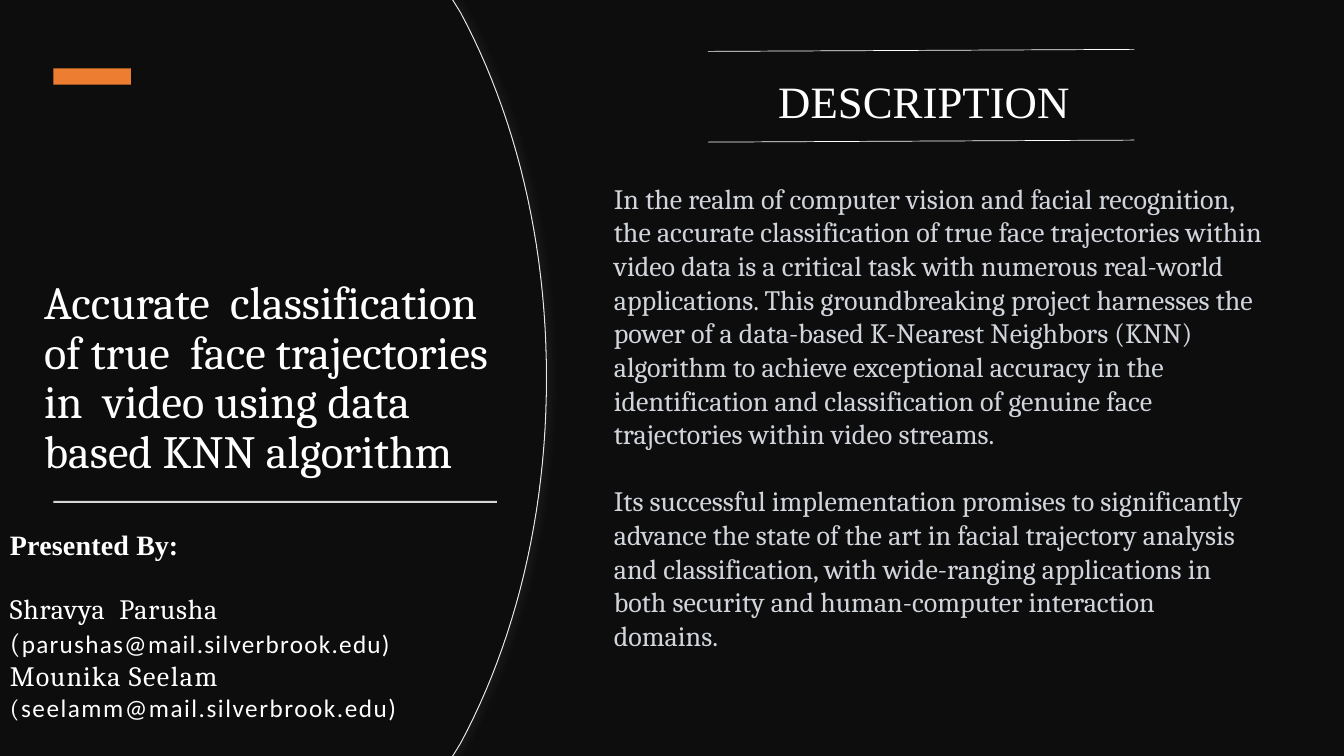
from pptx import Presentation
from pptx.dml.color import RGBColor
from pptx.enum import shapes, text
from pptx.oxml import parse_xml
from pptx.oxml.ns import nsdecls
from pptx.util import Inches, Pt

THEME = {
    "back": "0D0D0D", "white": "FFFFFF", "body": "D1D5DB", "accent": "ED7D31",
    "rule": "D5D5D5", "edge": "E6E6E6", "shade": "D9D9D9",
    "serif": "Cambria", "sans": "Calibri", "times": "Times New Roman",
    "title": 33, "head": 32, "text": 20, "mail": 18,
}

# A paragraph is (space before in points, runs);
# a run is (words, font, size, colour, bold, letter spacing in points).
TITLE = [(0, [("Accurate  classification  of true  face trajectories  in  video "
               "using data based KNN algorithm", "serif", "title", "white", False, 0)])]
HEAD = [(0, [("DESCRIPTION", "times", "head", "white", False, 0)])]
BODY = [
    (0, [("In the realm of computer vision and facial recognition, the accurate "
          "classification of true face trajectories within video data is a critical "
          "task with numerous real-world applications. This groundbreaking project "
          "harnesses the power of a data-based K-Nearest Neighbors (KNN) algorithm to "
          "achieve exceptional accuracy in the identification and classification of "
          "genuine face trajectories within video streams.",
          "serif", "text", "body", False, 0)]),
    (24, [("Its successful implementation promises to significantly advance the state "
           "of the art in facial trajectory analysis and classification, with "
           "wide-ranging applications in both security and human-computer interaction "
           "domains.", "serif", "text", "body", False, 0)]),
]
TEAM = [
    (0, [("Presented ", "times", "text", "white", True, 0.1),
         ("By:", "times", "text", "white", True, -0.1)]),
    (22, [("Shravya  ", "serif", "text", "white", False, 0.5),
          ("Parusha", "serif", "text", "white", False, 0.5)]),
    (0, [("(", "serif", "text", "white", False, 0.9),
         ("parushas@mail.silverbrook.edu)", "sans", "mail", "white", False, 0.9)]),
    (0, [("Mounika ", "serif", "text", "white", False, 0.7),
         ("Seelam", "serif", "text", "white", False, 1.1)]),
    (0, [("(", "serif", "mail", "white", False, 1.1),
         ("seelamm@mail.silverbrook.edu)", "sans", "mail", "white", False, 1.1)]),
]

# left, top, width, height, paragraphs, anchor, line spacing
BOXES = [
    (0.34, 2.24, 5, 2.56, TITLE, text.MSO_ANCHOR.BOTTOM, 0.9),
    (0, 5.18, 4.5, 2.39, TEAM, text.MSO_ANCHOR.TOP, 1),
    (7.62, 0.68, 3.32, 0.64, HEAD, text.MSO_ANCHOR.TOP, 1),
    (5.99, 1.75, 6.66, 4.48, BODY, text.MSO_ANCHOR.TOP, 1),
]
BARS = [(0.53, 0.68, 0.77, 0.16, "accent"), (0.53, 4.97, 4.4, 0.02, "rule")]
RULES = [0.51, 1.41]
TALL = 7.5
CURVE = [(4.57, 0.13), (5.11, 1.14), (5.42, 2.39), (5.42, 3.75)]


def color(name):
    return RGBColor.from_string(THEME[name])


def bend(points, steps=24):
    """Points along a cubic Bezier curve."""
    out = []
    for i in range(steps + 1):
        t = i / steps
        parts = ((1 - t) ** 3, 3 * t * (1 - t) ** 2, 3 * t * t * (1 - t), t ** 3)
        out.append(tuple(sum(w * p[k] for w, p in zip(parts, points)) for k in (0, 1)))
    return out


def panel(slide, shift):
    """Left panel with a bulging right side, mirrored about its middle."""
    top = [(4.49, 0)] + bend(CURVE)
    side = top + [(x, TALL - y) for x, y in reversed(top[:-1])]
    spots = [(Inches(x - shift), Inches(y)) for x, y in side]
    form = slide.shapes.build_freeform(0, 0)
    form.add_line_segments(spots + [(0, Inches(TALL))], close=True)
    shape = form.convert_to_shape()
    shape.shadow.inherit = False
    shape.fill.solid()
    shape.fill.fore_color.rgb = color("back")
    shape.line.fill.background()
    return shape


def glow(shape):
    """Light edge and a faint shadow to the right."""
    shape.line.color.rgb = color("edge")
    shape.line.width = Pt(0.75)
    shape._element.spPr.find("{*}effectLst").append(parse_xml(
        f'<a:outerShdw {nsdecls("a")} blurRad="{Pt(6)}" dist="{Pt(3)}" dir="0">'
        f'<a:srgbClr val="{THEME["shade"]}"><a:alpha val="5000"/></a:srgbClr>'
        '</a:outerShdw>'))


def bar(slide, left, top, width, height, fill):
    shape = slide.shapes.add_shape(
        shapes.MSO_SHAPE.RECTANGLE, *map(Inches, (left, top, width, height)))
    shape.shadow.inherit = False
    shape.fill.solid()
    shape.fill.fore_color.rgb = color(fill)
    shape.line.fill.background()


def rule(slide, top):
    line = slide.shapes.add_connector(
        shapes.MSO_CONNECTOR.STRAIGHT, *map(Inches, (7.02, top, 11.25, top - 0.02)))
    line.line.color.rgb = color("white")
    line.line.width = Pt(0.5)
    line._element.spPr.append(parse_xml(f'<a:effectLst {nsdecls("a")}/>'))


def write(slide, left, top, width, height, paras, anchor, pitch):
    frame = slide.shapes.add_textbox(
        *map(Inches, (left, top, width, height))).text_frame
    frame.word_wrap = True
    frame.vertical_anchor = anchor
    for i, (gap, runs) in enumerate(paras):
        para = frame.add_paragraph() if i else frame.paragraphs[0]
        para.space_before = Pt(gap)
        para.line_spacing = pitch
        for words, face, size, ink, bold, track in runs:
            run = para.add_run()
            run.text = words
            run.font.name = THEME[face]
            run.font.size = Pt(THEME[size])
            run.font.bold = bold
            run.font.color.rgb = color(ink)
            if track:
                run.font._element.set("spc", str(round(track * 100)))


def main():
    deck = Presentation()
    deck.slide_width, deck.slide_height = Inches(13.33), Inches(TALL)
    slide = deck.slides.add_slide(deck.slide_layouts[6])
    slide.background.fill.solid()
    slide.background.fill.fore_color.rgb = color("back")
    glow(panel(slide, 0))
    panel(slide, 0.01)
    for item in BARS:
        bar(slide, *item)
    for top in RULES:
        rule(slide, top)
    for box in BOXES:
        write(slide, *box)
    deck.save("out.pptx")


if __name__ == "__main__":
    main()
